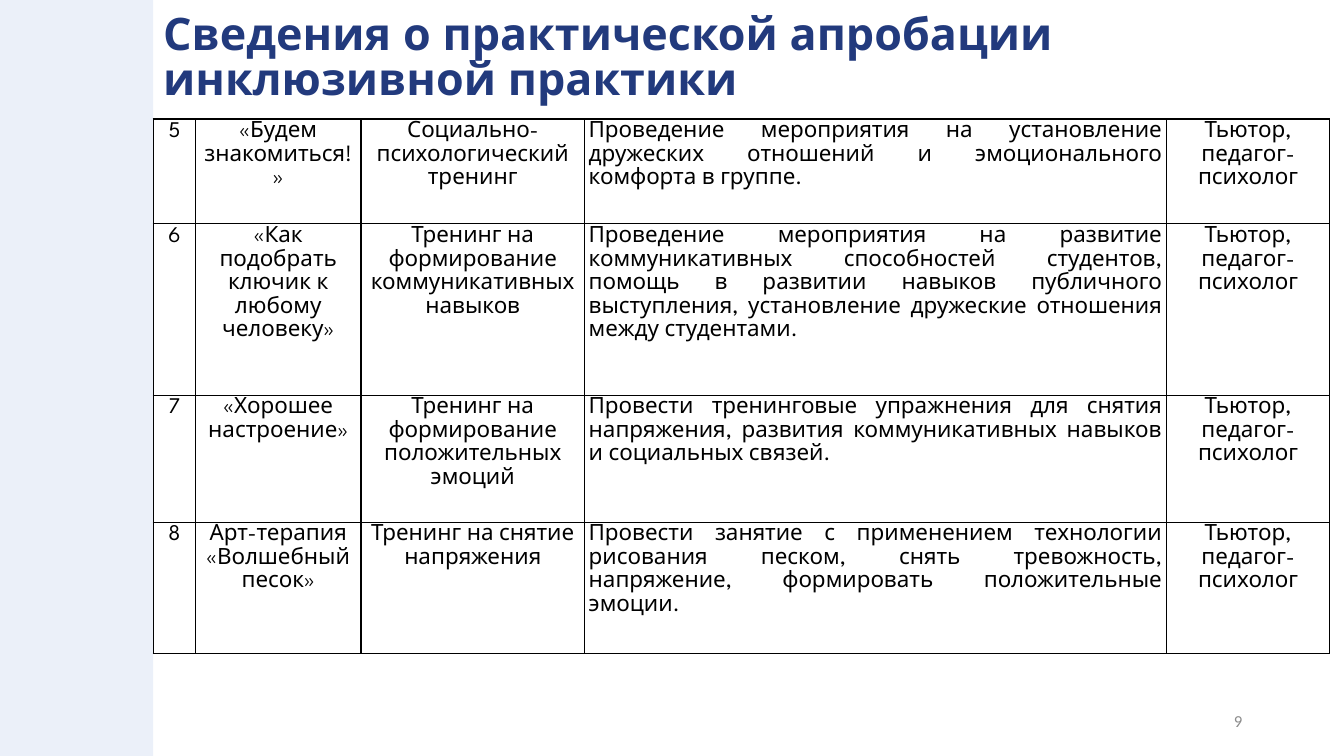
from lxml import etree
from pptx import Presentation
from pptx.dml.color import RGBColor
from pptx.enum.shapes import MSO_SHAPE
from pptx.enum.text import MSO_ANCHOR, PP_ALIGN
from pptx.oxml.ns import qn
from pptx.util import Inches, Pt

RECT = MSO_SHAPE.RECTANGLE
TOP, MIDDLE = MSO_ANCHOR.TOP, MSO_ANCHOR.MIDDLE
LEFT, MID, RIGHT, JUST = PP_ALIGN.LEFT, PP_ALIGN.CENTER, PP_ALIGN.RIGHT, PP_ALIGN.JUSTIFY
HEX = {"band": "EBF0F9", "title": "223A7D", "text": "000000", "page": "8C8C8C"}
FONT = "League Spartan"
WIDE, HIGH = 13.33, 7.5
SIDE = 1.52  # width of the side band and left edge of the content


def write(frame, text, size=16, face=FONT, hue="text", bold=False, align=LEFT, space=None):
    """Fill a text frame, one paragraph per line of text."""
    frame.word_wrap = True
    for i, line in enumerate(text.split("\n")):
        para = frame.paragraphs[0] if i == 0 else frame.add_paragraph()
        para.alignment = align
        if space:
            para.line_spacing = space
        run = para.add_run()
        run.text = line
        run.font.size, run.font.name, run.font.bold = Pt(size), face, bold
        run.font.color.rgb = RGBColor.from_string(HEX[hue])


def edge(cell):
    """Draw a thin line on all four sides of a cell."""
    props = cell._tc.get_or_add_tcPr()
    for i, side in enumerate(("lnL", "lnR", "lnT", "lnB")):
        line = etree.Element(qn("a:" + side), w=str(Pt(1)))
        fill = etree.SubElement(line, qn("a:solidFill"))
        etree.SubElement(fill, qn("a:srgbClr"), val=HEX["text"])
        props.insert(i, line)


deck = Presentation()
deck.slide_width, deck.slide_height = Inches(WIDE), Inches(HIGH)
slide = deck.slides.add_slide(deck.slide_layouts[6])
shapes = slide.shapes

# Side band
band = shapes.add_shape(RECT, 0, 0, Inches(SIDE), Inches(HIGH))
band.shadow.inherit = False
band.fill.solid()
band.fill.fore_color.rgb = RGBColor.from_string(HEX["band"])
band.line.fill.background()

# Title, lifted by a deep bottom margin
title = shapes.add_textbox(Inches(SIDE), Inches(0.25), Inches(10.55), Inches(1.13)).text_frame
title.vertical_anchor = MIDDLE
title.margin_bottom = Inches(0.49)
write(title, "Сведения о практической апробации инклюзивной практики",
      size=32, hue="title", bold=True, space=Pt(32))

# Table of trainings
COLS = [0.42, 1.64, 2.22, 5.77, 1.62]
ROWS = [1.04, 1.7, 1.26, 1.3]
ALIGN = [MID, MID, MID, JUST, MID]
STAFF = "Тьютор,\nпедагог-психолог"
DATA = [
    ("«Будем знакомиться!»", "Социально-психологический тренинг",
     "Проведение мероприятия на установление дружеских отношений и "
     "эмоционального комфорта в группе."),
    ("«Как подобрать ключик к любому человеку»",
     "Тренинг на формирование коммуникативных навыков",
     "Проведение мероприятия на развитие коммуникативных способностей студентов, "
     "помощь в развитии навыков публичного выступления, установление дружеские "
     "отношения между студентами."),
    ("«Хорошее настроение»", "Тренинг на формирование положительных эмоций",
     "Провести тренинговые упражнения для снятия напряжения, развития "
     "коммуникативных навыков и социальных связей."),
    ("Арт-терапия «Волшебный песок»", "Тренинг на снятие напряжения",
     "Провести занятие с применением технологии рисования песком, снять "
     "тревожность, напряжение, формировать положительные эмоции."),
]
table = shapes.add_table(len(ROWS), len(COLS), Inches(SIDE), Inches(1.18),
                         Inches(sum(COLS)), Inches(sum(ROWS))).table
table.first_row = table.horz_banding = False
for col, width in zip(table.columns, COLS):
    col.width = Inches(width)
for r, (row, height) in enumerate(zip(table.rows, ROWS)):
    row.height = Inches(height)
    texts = (str(r + 5), *DATA[r], STAFF)
    for cell, text, align in zip(row.cells, texts, ALIGN):
        cell.fill.background()
        cell.vertical_anchor = TOP
        cell.margin_left = cell.margin_right = Inches(0.04)
        cell.margin_top = cell.margin_bottom = 0
        write(cell.text_frame, text, align=align, space=1.15)
        edge(cell)

# Page number
page = shapes.add_textbox(Inches(9.42), Inches(6.95), Inches(3), Inches(0.4)).text_frame
page.vertical_anchor = MIDDLE
write(page, "9", size=12, face="Calibri", hue="page", align=RIGHT)

deck.save("out.pptx")
